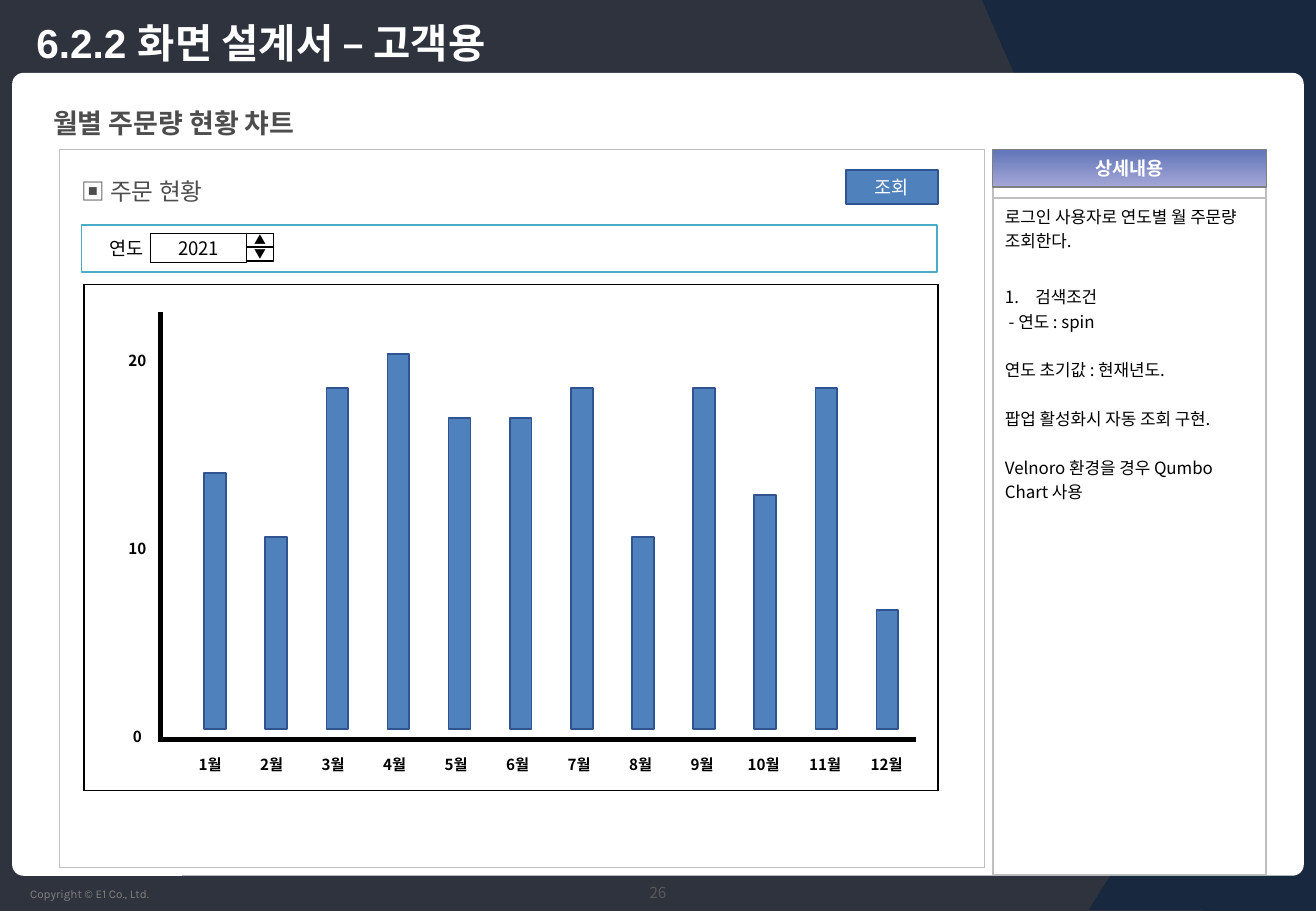
from dataclasses import dataclass
from typing import Optional

from lxml.etree import SubElement
from pptx import Presentation
from pptx.dml.color import RGBColor
from pptx.enum.shapes import MSO_CONNECTOR, MSO_SHAPE as Preset
from pptx.enum.text import MSO_ANCHOR as Anchor, MSO_AUTO_SIZE, PP_ALIGN as Align
from pptx.oxml.ns import qn
from pptx.util import Emu, Inches, Pt


@dataclass(frozen=True)
class Theme:
    sans: str = "Noto Sans CJK KR"
    heading: str = "Arial"
    footer: str = "Karla"
    black: str = "000000"
    white: str = "FFFFFF"
    slate: str = "2E333D"
    navy: str = "18283F"
    dark_gray: str = "4D4D4D"
    page_gray: str = "595959"
    gray: str = "808080"
    frame: str = "BFBFBF"
    blue: str = "4F81BD"
    blue_edge: str = "31538F"
    teal: str = "4BACC6"
    header_top: str = "6075B8"
    header_bottom: str = "A5A7D7"
    title: float = 24
    section: float = 16
    panel: float = 14
    control: float = 11
    body: float = 10
    label: float = 9
    tiny: float = 7


THEME = Theme()
MODULE = Inches(0.1)  # one grid column or row


@dataclass(frozen=True)
class Area:
    """A rectangle in grid columns and rows."""
    column: float
    row: float
    columns: float
    rows: float

    def emu(self) -> list[Emu]:
        return [Emu(round(n * MODULE)) for n in (self.column, self.row, self.columns, self.rows)]


@dataclass(frozen=True)
class Style:
    size: float
    color: str = THEME.black
    bold: bool = False
    font: str = THEME.sans
    align: Align = Align.CENTER


@dataclass(frozen=True)
class Block:
    area: Area
    fill: Optional[str] = None
    line: Optional[str] = None
    weight: float = 1
    text: str = ""
    style: Optional[Style] = None
    preset: Preset = Preset.RECTANGLE
    rotation: float = 0


@dataclass(frozen=True)
class Detail:
    text: str
    before: float = 0
    numbered: bool = False


LABEL = Style(THEME.label, bold=True)
CONTROL = Style(THEME.control)
ARROW = Style(THEME.tiny)
PANEL = Style(THEME.panel, THEME.dark_gray, font=THEME.heading, align=Align.LEFT)

BACKDROP = [
    Block(Area(0, 0, 108.3, 75), THEME.slate),
    Block(Area(80.8, 0, 27.5, 62.5), THEME.navy, preset=Preset.RIGHT_TRIANGLE, rotation=180),
    Block(Area(98.9, 0, 9.4, 75), THEME.navy),
]
CORNER = Block(Area(89.6, 45.4, 18.7, 29.5), THEME.navy, preset=Preset.RIGHT_TRIANGLE)
SHEET = Block(Area(1, 6, 106.3, 66.1), THEME.white, preset=Preset.ROUNDED_RECTANGLE)
CONTROLS = [
    Block(Area(69.6, 14, 7.6, 2.8), THEME.blue, THEME.blue_edge, 1, "조회",
          Style(THEME.control, THEME.white)),
    Block(Area(6.7, 18.5, 70.4, 3.9), THEME.white, THEME.teal),
    Block(Area(7.7, 19.2, 5.1, 2.4), THEME.white, text="연도",
          style=Style(THEME.control, align=Align.RIGHT)),
    Block(Area(12.4, 19.2, 7.9, 2.4), THEME.white, THEME.black, 0.75, "2021", CONTROL),
    Block(Area(20.3, 19.2, 2.2, 1.15), THEME.white, THEME.black, 0.75, "▲", ARROW),
    Block(Area(20.3, 20.35, 2.2, 1.15), THEME.white, THEME.black, 0.75, "▼", ARROW),
]
DETAILS = [
    Detail("로그인 사용자로 연도별 월 주문량 조회한다."),
    Detail("검색조건", 18.8, numbered=True),
    Detail(" - 연도 : spin"),
    Detail("연도 초기값 : 현재년도.", 14.5),
    Detail("팝업 활성화시 자동 조회 구현.", 14.5),
    Detail("Velnoro 환경을 경우 Qumbo Chart 사용", 14.5),
]
MONTHLY_ORDERS = [13.6, 10.2, 18.1, 19.9, 16.5, 16.5, 18.1, 10.2, 18.1, 12.4, 18.1, 6.3]
ROWS_PER_ORDER = 1.55
BAR_FLOOR = 60


def rgb(color: str) -> RGBColor:
    return RGBColor.from_string(color)


def format_paragraph(para, style: Style) -> None:
    para.alignment = style.align
    font = para.font
    font.name, font.size, font.bold = style.font, Pt(style.size), style.bold
    font.color.rgb = rgb(style.color)
    east_asian = SubElement(para._p.get_or_add_pPr().get_or_add_defRPr(), qn("a:ea"))
    east_asian.set("typeface", THEME.sans)


def write(frame, text: str, style: Style, anchor: Anchor = Anchor.MIDDLE) -> None:
    frame.word_wrap = style.align != Align.CENTER
    frame.vertical_anchor = anchor
    frame.text = text
    format_paragraph(frame.paragraphs[0], style)


def add_text(page, area: Area, text: str, style: Style, anchor: Anchor = Anchor.MIDDLE):
    box = page.shapes.add_textbox(*area.emu())
    write(box.text_frame, text, style, anchor)
    return box


def add_block(page, block: Block):
    shape = page.shapes.add_shape(block.preset, *block.area.emu())
    shape.shadow.inherit = False
    shape.rotation = block.rotation
    if block.fill:
        shape.fill.solid()
        shape.fill.fore_color.rgb = rgb(block.fill)
    if block.line:
        shape.line.color.rgb = rgb(block.line)
        shape.line.width = Pt(block.weight)
    else:
        shape.line.fill.background()
    if block.style:
        write(shape.text_frame, block.text, block.style)
    return shape


def add_frame(page, area: Area, color: str, row_heights: list[float]):
    """Add a one-column table with plain borders and no fill."""
    table = page.shapes.add_table(len(row_heights), 1, *area.emu()).table
    table.first_row = table.horz_banding = False
    for row, height in zip(table.rows, row_heights):
        row.height = Emu(round(height * MODULE))
        properties = row.cells[0]._tc.get_or_add_tcPr()
        for side in ("a:lnL", "a:lnR", "a:lnT", "a:lnB"):
            border = SubElement(properties, qn(side), w=str(Pt(1)))
            SubElement(SubElement(border, qn("a:solidFill")), qn("a:srgbClr"), val=color)
        row.cells[0].fill.background()
    return table


def add_bullet(para, tag: str, indent: float, size: int = 100, **attributes: str) -> None:
    properties = para._p.get_or_add_pPr()
    properties.set("marL", str(Inches(indent)))
    properties.set("indent", str(-Inches(indent)))
    SubElement(SubElement(properties, qn("a:buClr")), qn("a:srgbClr"), val=THEME.black)
    SubElement(properties, qn("a:buSzPct"), val=str(size * 1000))
    SubElement(properties, qn(tag), **attributes)


def add_axis(page, start: tuple[float, float], end: tuple[float, float]) -> None:
    points = [Emu(round(n * MODULE)) for n in (*start, *end)]
    axis = page.shapes.add_connector(MSO_CONNECTOR.STRAIGHT, *points)
    axis.line.color.rgb = rgb(THEME.black)
    axis.line.width = Pt(3)
    SubElement(axis._element.spPr, qn("a:effectLst"))


def add_backdrop(page) -> None:
    for block in BACKDROP:
        add_block(page, block)
    add_block(page, CORNER)._element.spPr.xfrm.set("flipH", "1")
    add_block(page, SHEET).adjustments[0] = 0.014
    add_text(page, Area(1.5, 72.5, 20, 2.2), "Copyright © E1 Co., Ltd.",
             Style(THEME.tiny, THEME.gray, font=THEME.footer, align=Align.LEFT), Anchor.TOP)
    add_text(page, Area(47.5, 72.1, 13.3, 2.8), "26", Style(THEME.label, THEME.page_gray))


def add_headings(page) -> None:
    title = page.shapes.title
    page.shapes._spTree.append(title._element)  # bring in front of the backdrop
    title.left, title.top, title.width, title.height = Area(2, 0.3, 95.6, 6.3).emu()
    write(title.text_frame, "6.2.2 화면 설계서 – 고객용",
          Style(THEME.title, THEME.white, True, THEME.heading, Align.LEFT))
    title.text_frame.auto_size = MSO_AUTO_SIZE.NONE

    box = page.shapes.add_textbox(*Area(3.4, 8.3, 56.4, 3.5).emu())
    para = box.text_frame.paragraphs[0]
    para.line_spacing = Pt(18)
    add_bullet(para, "a:buChar", 0.21, 75, char="•")
    write(box.text_frame, "월별 주문량 현황 챠트",
          Style(THEME.section, THEME.dark_gray, True, THEME.heading, Align.LEFT), Anchor.TOP)


def add_details(page) -> None:
    table = add_frame(page, Area(81.7, 12.3, 22.5, 59.1), THEME.frame, [3.4, 55.7])
    frame = table.cell(1, 0).text_frame
    for number, detail in enumerate(DETAILS):
        para = frame.add_paragraph() if number else frame.paragraphs[0]
        para.text = detail.text
        if detail.before:
            para.space_before = Pt(detail.before)
        if detail.numbered:
            add_bullet(para, "a:buAutoNum", 0.25, type="arabicPeriod")
        format_paragraph(para, Style(THEME.body, align=Align.LEFT))
    header = add_block(page, Block(Area(81.7, 12.3, 22.5, 3.1), None, THEME.gray, 0.75, "상세내용",
                                   Style(THEME.control, THEME.white, True)))
    header.fill.gradient()
    header.fill.gradient_angle = 270
    for stop, color in zip(header.fill.gradient_stops, (THEME.header_top, THEME.header_bottom)):
        stop.color.rgb = rgb(color)


def add_order_chart(page) -> None:
    add_frame(page, Area(6.9, 23.4, 70.3, 41.7), THEME.black, [41.7])
    for value in (0, 10, 20):
        add_text(page, Area(8.8, 59 - value * ROWS_PER_ORDER, 5, 3.3), str(value), LABEL)
    for index, orders in enumerate(MONTHLY_ORDERS):
        height = orders * ROWS_PER_ORDER
        bar = Area(16.8 + 5.03 * index, BAR_FLOOR - height, 1.8, height)
        add_block(page, Block(bar, THEME.blue, THEME.blue_edge))
        add_text(page, Area(14.8 + 5.06 * index, 61.3, 5, 3.3), f"{index + 1}월", LABEL)
    add_axis(page, (13.2, 25.7), (13.2, 60.9))
    add_axis(page, (13, 60.85), (75.4, 60.85))


def main() -> None:
    deck = Presentation()
    deck.slide_width, deck.slide_height = Inches(10.83), Inches(7.5)
    page = deck.slides.add_slide(deck.slide_layouts[5])
    add_backdrop(page)
    add_headings(page)
    add_frame(page, Area(4.9, 12.3, 76.1, 59.1), THEME.frame, [59.1])
    add_details(page)
    add_order_chart(page)
    heading = add_text(page, Area(5.7, 13.9, 15.8, 3.3), "▣ 주문 현황", PANEL, Anchor.TOP)
    heading.text_frame.paragraphs[0].line_spacing = Pt(18)
    for block in CONTROLS:
        add_block(page, block)
    deck.save("out.pptx")


if __name__ == "__main__":
    main()
